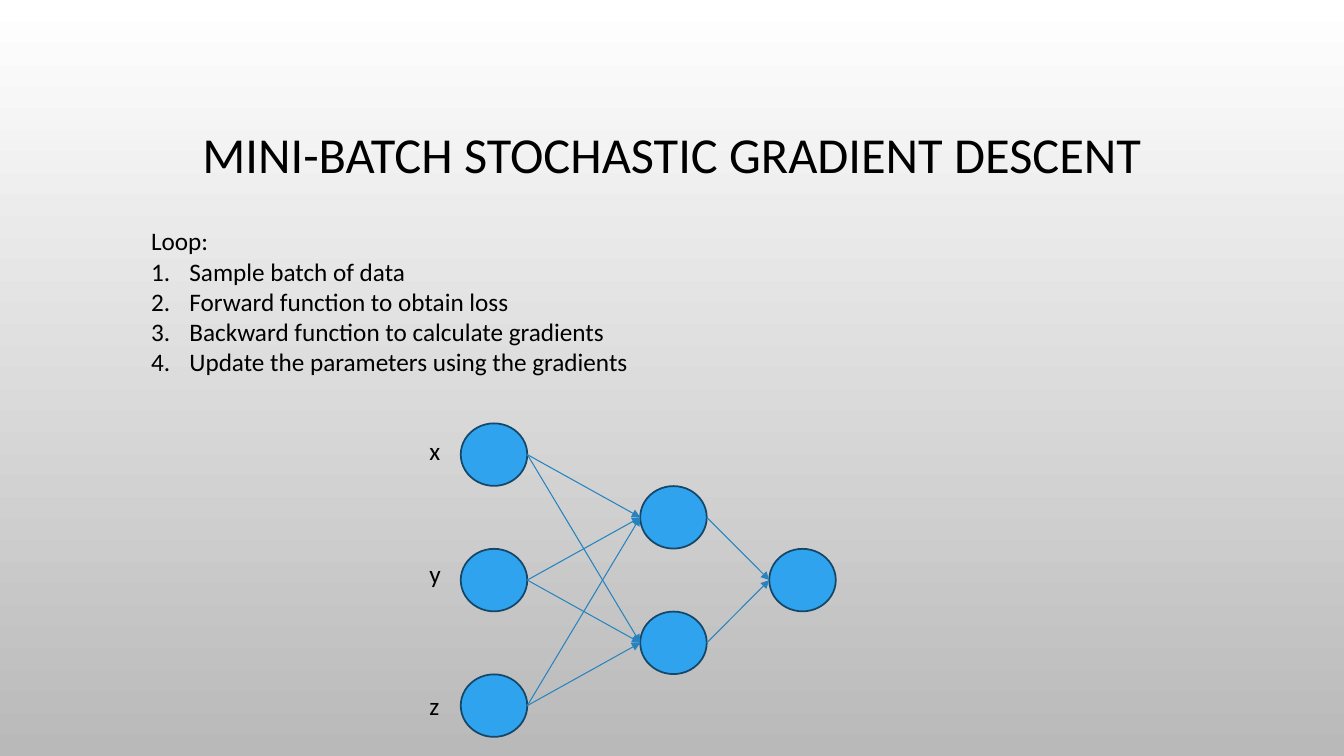
from itertools import pairwise, product

from lxml.etree import SubElement
from pptx import Presentation
from pptx.dml.color import RGBColor
from pptx.enum.shapes import MSO_CONNECTOR, MSO_SHAPE
from pptx.enum.text import MSO_ANCHOR, MSO_AUTO_SIZE, PP_ALIGN
from pptx.oxml.ns import qn
from pptx.util import Inches, Pt

BLACK = RGBColor(0x00, 0x00, 0x00)
WHITE = RGBColor(0xFF, 0xFF, 0xFF)
GREY = RGBColor(0xB9, 0xB9, 0xB9)
BLUE = RGBColor(0x2F, 0xA3, 0xEE)
NAVY = RGBColor(0x15, 0x47, 0x68)
ARROW = RGBColor(0x26, 0x83, 0xBF)

FONT = "Calibri"
NODE_W, NODE_H = 0.66, 0.62
MID_Y = 5.755
STEP_Y = 1.245
LAYERS = [(4.57, 3), (6.35, 2), (7.63, 1)]
INPUTS = [("x", 4.27), ("y", 5.49), ("z", 6.8)]
STEPS = [
    "Sample batch of data",
    "Forward function to obtain loss",
    "Backward function to calculate gradients",
    "Update the parameters using the gradients",
]


def style_text(para, size):
    for run in para.runs:
        run.font.name = FONT
        run.font.size = Pt(size)
        run.font.color.rgb = BLACK


def set_backdrop(slide):
    fill = slide.background.fill
    fill.gradient()
    fill.gradient_angle = 270
    for stop, color, place in zip(fill.gradient_stops, (WHITE, GREY), (0, 1)):
        stop.color.rgb = color
        stop.position = place


def set_title(slide, text):
    title = slide.shapes.title
    title.left, title.top = Inches(1), Inches(0.68)
    title.width, title.height = Inches(11.33), Inches(1.75)
    frame = title.text_frame
    frame.text = text
    frame.vertical_anchor = MSO_ANCHOR.MIDDLE
    para = frame.paragraphs[0]
    para.alignment = PP_ALIGN.CENTER
    para.line_spacing = 0.9
    style_text(para, 36)


def add_text(slide, left, top, width, height, text):
    box = slide.shapes.add_textbox(
        Inches(left), Inches(top), Inches(width), Inches(height))
    frame = box.text_frame
    frame.word_wrap = True
    frame.auto_size = MSO_AUTO_SIZE.SHAPE_TO_FIT_TEXT
    frame.text = text
    for para in frame.paragraphs:
        style_text(para, 18)
    return frame


def number(para):
    """Give the paragraph an automatic number and a hanging indent."""
    props = para._p.get_or_add_pPr()
    props.set("marL", str(Inches(0.38)))
    props.set("indent", str(-Inches(0.38)))
    SubElement(props, qn("a:buFont"), typeface="+mj-lt")
    SubElement(props, qn("a:buAutoNum"), type="arabicPeriod")


def add_node(slide, left, mid):
    node = slide.shapes.add_shape(
        MSO_SHAPE.OVAL, Inches(left), Inches(mid - NODE_H / 2),
        Inches(NODE_W), Inches(NODE_H))
    node.shadow.inherit = False
    node.fill.solid()
    node.fill.fore_color.rgb = BLUE
    node.line.color.rgb = NAVY
    node.line.width = Pt(1.25)


def add_arrow(slide, start, end):
    """Join the right edge of one node to the left edge of another."""
    (x1, y1), (x2, y2) = start, end
    arrow = slide.shapes.add_connector(
        MSO_CONNECTOR.STRAIGHT, Inches(x1 + NODE_W), Inches(y1),
        Inches(x2), Inches(y2))
    arrow.line.color.rgb = ARROW
    arrow.line.width = Pt(0.75)
    SubElement(arrow.line._get_or_add_ln(), qn("a:tailEnd"), type="triangle")
    SubElement(arrow._element.spPr, qn("a:effectLst"))


def add_network(slide):
    layers = [
        [(left, MID_Y + (i - (count - 1) / 2) * STEP_Y) for i in range(count)]
        for left, count in LAYERS
    ]
    for layer in layers:
        for left, mid in layer:
            add_node(slide, left, mid)
    for sources, targets in pairwise(layers):
        for start, end in product(sources, targets):
            add_arrow(slide, start, end)
    for name, top in INPUTS:
        add_text(slide, 4.16, top, 0.41, 0.4, name)


def main():
    deck = Presentation()
    deck.slide_width, deck.slide_height = Inches(13.33), Inches(7.5)
    slide = deck.slides.add_slide(deck.slide_layouts[5])
    set_backdrop(slide)
    set_title(slide, "MINI-BATCH STOCHASTIC GRADIENT DESCENT")
    loop = add_text(slide, 1.4, 2.19, 8.01, 1.62, "\n".join(["Loop:", *STEPS]))
    for para in loop.paragraphs[1:]:
        number(para)
    add_network(slide)
    deck.save("out.pptx")


if __name__ == "__main__":
    main()
